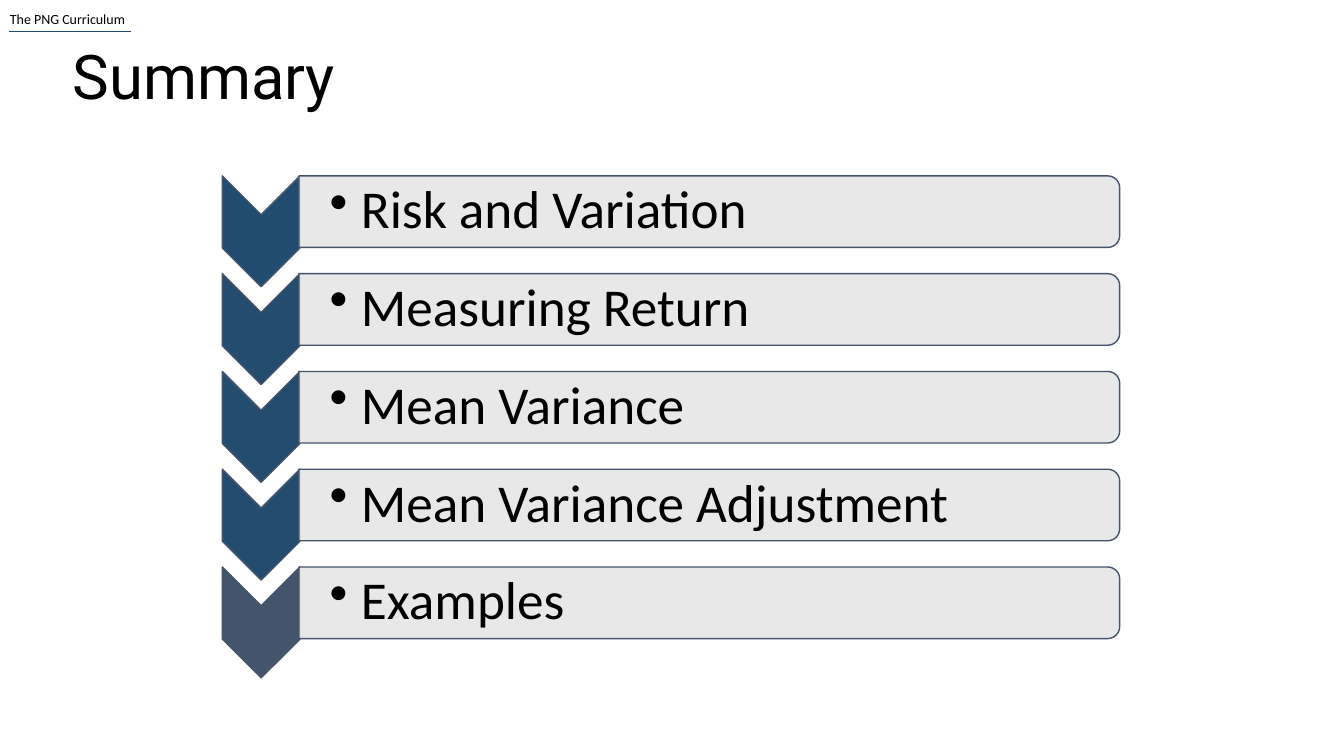
from lxml.etree import SubElement
from pptx import Presentation
from pptx.dml.color import RGBColor
from pptx.enum.shapes import MSO_CONNECTOR as LINK, MSO_SHAPE as SHAPE
from pptx.enum.text import MSO_ANCHOR as ANCHOR
from pptx.oxml.ns import qn
from pptx.util import Inches, Pt

COLORS = {"text": "000000", "rule": "244C70", "first": "224C6F",
          "blue": "244C6F", "slate": "44546A", "bar": "E7E6E6"}
TOPICS = [("Risk and Variation", "first"), ("Measuring Return", "blue"),
          ("Mean Variance", "blue"), ("Mean Variance Adjustment", "blue"),
          ("Examples", "slate")]
PITCH = 0.97


def color(name):
    """Return the named colour."""
    return RGBColor.from_string(COLORS[name])


def write(shape, text, size, font="Calibri", anchor=ANCHOR.TOP,
          inset=(0.1, 0.05, 0.1, 0.05), spacing=1.0, bullet=False):
    """Fill a shape's text frame with one formatted paragraph."""
    frame = shape.text_frame
    frame.word_wrap = True
    frame.vertical_anchor = anchor
    (frame.margin_left, frame.margin_top,
     frame.margin_right, frame.margin_bottom) = map(Inches, inset)
    para = frame.paragraphs[0]
    para.line_spacing = spacing
    if bullet:
        props = para._p.get_or_add_pPr()
        props.set("marL", str(Inches(0.31)))
        props.set("indent", str(-Inches(0.31)))
        SubElement(props, qn("a:buChar"), char="•")
    run = para.add_run()
    run.text = text
    run.font.name = font
    run.font.size = Pt(size)
    run.font.color.rgb = color("text")


def add_box(slide, left, top, width, height):
    """Add a text box measured in inches."""
    return slide.shapes.add_textbox(*map(Inches, (left, top, width, height)))


def add_turned(slide, kind, left, top, width, height, fill, alpha=None):
    """Add an outlined shape turned a quarter to the right."""
    shape = slide.shapes.add_shape(
        kind, *map(Inches, (left, top, width, height)))
    shape.rotation = 90
    shape.shadow.inherit = False
    shape.fill.solid()
    shape.fill.fore_color.rgb = color(fill)
    shape.line.color.rgb = color("slate")
    shape.line.width = Pt(1)
    if alpha:
        tint = shape._element.spPr.find(qn("a:solidFill"))[0]
        SubElement(tint, qn("a:alpha"), val=str(alpha * 1000))


def add_topic(slide, row, text, fill):
    """Add a chevron, its bar and the bulleted topic."""
    down = row * PITCH
    add_turned(slide, SHAPE.CHEVRON, 2.04, 1.91 + down, 1.1, 0.77, fill)
    add_turned(slide, SHAPE.ROUND_2_SAME_RECTANGLE, 6.68, -1.97 + down,
               0.71, 8.14, "bar", alpha=90)
    write(add_box(slide, 2.97, 1.78 + down, 8.1, 0.64), text, 38,
          anchor=ANCHOR.MIDDLE, inset=(0.3, 0.03, 0.03, 0.03),
          spacing=0.9, bullet=True)


def add_header(slide):
    """Add the course name and the rule below it."""
    write(add_box(slide, 0, 0.06, 3.98, 0.27), "The PNG Curriculum", 10)
    rule = slide.shapes.add_connector(
        LINK.STRAIGHT, *map(Inches, (0.09, 0.31, 1.3, 0.31)))
    rule.line.color.rgb = color("rule")
    rule.line.width = Pt(0.5)
    SubElement(rule._element.spPr, qn("a:effectLst"))


def add_title(slide, text):
    """Place and format the title placeholder."""
    title = slide.shapes.title
    title.left, title.top, title.width, title.height = map(
        Inches, (0.62, 0.29, 11.5, 1))
    write(title, text, 44, font="Roboto", anchor=ANCHOR.MIDDLE, spacing=0.9)
    title.text_frame.paragraphs[0].alignment = 1


def main():
    """Build and save the summary slide."""
    deck = Presentation()
    deck.slide_width, deck.slide_height = Inches(13.33), Inches(7.5)
    slide = deck.slides.add_slide(deck.slide_layouts[5])
    add_header(slide)
    for row, (text, fill) in enumerate(TOPICS):
        add_topic(slide, row, text, fill)
    add_title(slide, "Summary")
    deck.save("out.pptx")


if __name__ == "__main__":
    main()
